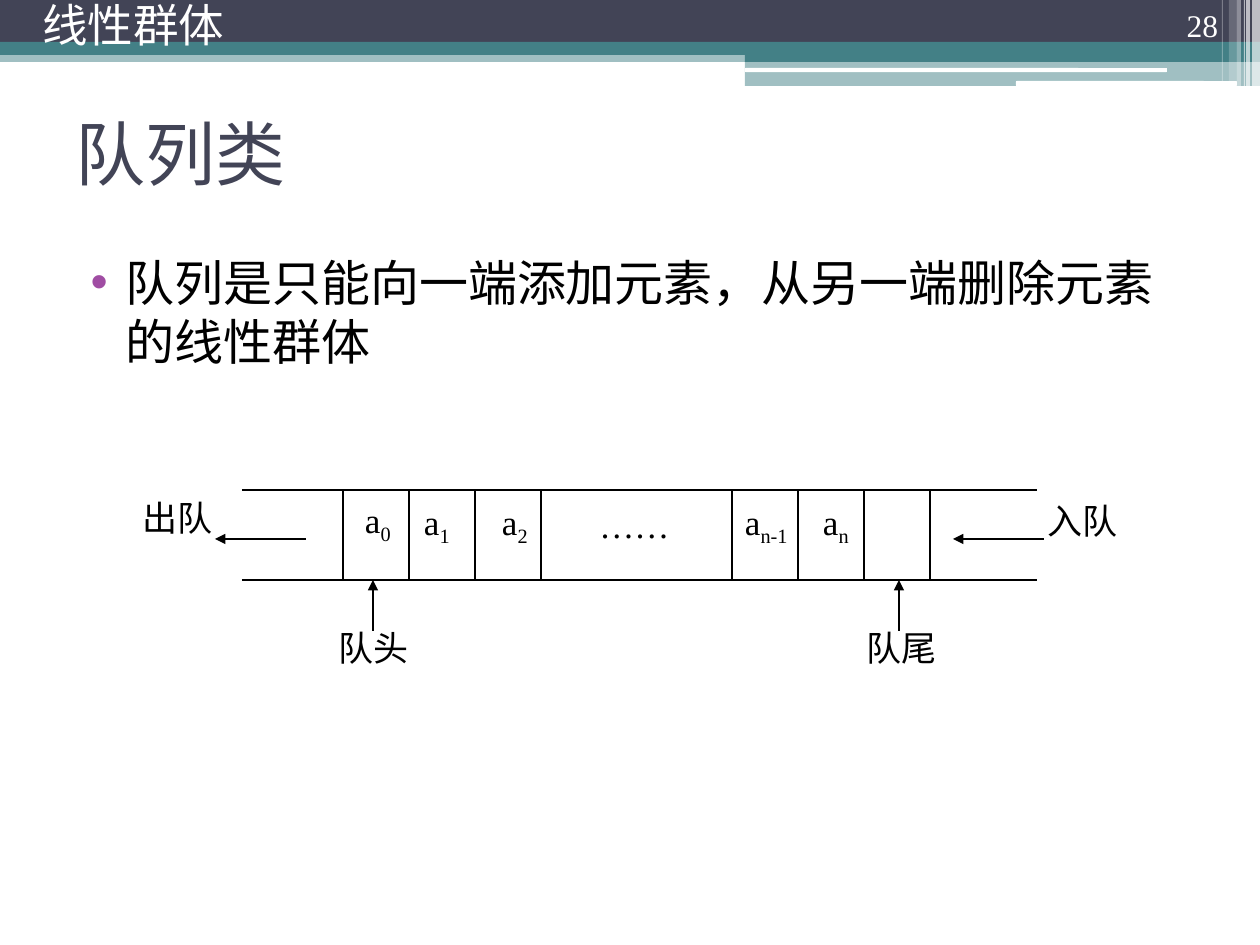
"""Build the queue class slide with its band header and queue diagram."""
from dataclasses import dataclass
from typing import NamedTuple

from lxml import etree
from pptx import Presentation
from pptx import util as u
from pptx.dml.color import RGBColor
from pptx.enum import shapes, text
from pptx.oxml.ns import qn

EMU_PER_PX = 914400 / 126


@dataclass(frozen=True)
class Theme:
    navy: str = "424456"
    teal: str = "438086"
    white: str = "FFFFFF"
    black: str = "000000"
    bullet: str = "A04DA3"
    heading_font: str = "Cabin"
    body_font: str = "Noto Sans CJK SC"
    label_font: str = "Times New Roman"
    title_size: int = 40
    body_size: int = 28
    section_size: int = 26
    number_size: int = 18
    label_size: int = 20
    line_width: float = 0.75


THEME = Theme()


class Box(NamedTuple):
    left: int
    top: int
    width: int
    height: int


class Bar(NamedTuple):
    box: Box
    color: str
    alpha: int = 100
    rounded: bool = False


class Style(NamedTuple):
    size: int
    font: str
    color: str


class Line(NamedTuple):
    start: tuple[int, int]
    end: tuple[int, int]
    arrow: bool = False


class Cell(NamedTuple):
    left: int
    top: int
    index: str


LABEL = Style(THEME.label_size, THEME.label_font, THEME.black)

BARS = [
    Bar(Box(0, 50, 1260, 12), THEME.teal, 50),
    Bar(Box(0, 0, 1260, 43), THEME.navy),
    Bar(Box(0, 42, 1260, 13), THEME.teal),
    Bar(Box(745, 49, 515, 13), THEME.teal),
    Bar(Box(745, 61, 515, 25), THEME.teal, 50),
    Bar(Box(745, 68, 422, 4), THEME.white, rounded=True),
    Bar(Box(1016, 81, 221, 5), THEME.white, rounded=True),
    Bar(Box(1252, 0, 8, 86), THEME.white, 65),
    Bar(Box(1246, 0, 4, 86), THEME.white, 65),
    Bar(Box(1244, 0, 1, 86), THEME.white, 60),
    Bar(Box(1237, 0, 4, 86), THEME.white, 40),
    Bar(Box(1229, 0, 8, 81), THEME.white, 20),
    Bar(Box(1222, 0, 1, 81), THEME.white, 30),
]

QUEUE_TOP, QUEUE_BOTTOM = 490, 580
CELL_WIDTH = 66
DIVIDERS = [first + CELL_WIDTH * i for first in (343, 732) for i in range(4)]
QUEUE_LINES = [
    *(Line((242, y), (1037, y)) for y in (QUEUE_TOP, QUEUE_BOTTOM)),
    *(Line((x, QUEUE_TOP), (x, QUEUE_BOTTOM)) for x in DIVIDERS),
    *(Line((x, 631), (x, QUEUE_BOTTOM), True) for x in (373, 899)),
    *(Line((x, 539), (x - 91, 539), True) for x in (306, 1044)),
]

CELLS = [
    Cell(365, 498, "0"),
    Cell(424, 500, "1"),
    Cell(502, 500, "2"),
    Cell(745, 500, "n-1"),
    Cell(823, 500, "n"),
]
CAPTIONS = {
    "……": (571, 503),
    "队头": (310, 626),
    "队尾": (838, 626),
    "入队": (1019, 499),
    "出队": (114, 496),
}


def px(length: int) -> u.Emu:
    """Turn whole pixels into EMU."""
    return u.Emu(round(length * EMU_PER_PX))


def place(box: Box) -> tuple[u.Emu, ...]:
    """Turn a box into four EMU lengths."""
    return tuple(px(length) for length in box)


def draw_bar(slide, bar: Bar) -> None:
    """Draw one borderless bar of the header band."""
    kind = shapes.MSO_SHAPE.ROUNDED_RECTANGLE if bar.rounded else shapes.MSO_SHAPE.RECTANGLE
    band = slide.shapes.add_shape(kind, *place(bar.box))
    band.shadow.inherit = False
    band.line.fill.background()
    band.fill.solid()
    band.fill.fore_color.rgb = RGBColor.from_string(bar.color)
    if bar.alpha < 100:
        color = band._element.spPr.find(f"{qn('a:solidFill')}/{qn('a:srgbClr')}")
        etree.SubElement(color, qn("a:alpha"), val=str(bar.alpha * 1000))


def draw_line(slide, line: Line) -> None:
    """Draw one thin line, with an arrowhead at its end if asked."""
    edge = slide.shapes.add_connector(
        shapes.MSO_CONNECTOR.STRAIGHT, *map(px, line.start + line.end))
    edge.line.width = u.Pt(THEME.line_width)
    edge.line.color.rgb = RGBColor.from_string(THEME.black)
    props = edge._element.spPr
    if line.arrow:
        etree.SubElement(props.find(qn("a:ln")), qn("a:tailEnd"), type="triangle")
    etree.SubElement(props, qn("a:effectLst"))


def add_run(paragraph, words: str, style: Style, subscript: bool = False) -> None:
    """Add one formatted run to a paragraph."""
    run = paragraph.add_run()
    run.text = words
    run.font.size = u.Pt(style.size)
    run.font.name = style.font
    run.font.color.rgb = RGBColor.from_string(style.color)
    if subscript:
        run._r.get_or_add_rPr().set("baseline", "-25000")


def add_label(slide, box: Box, words: str, style: Style, align=text.PP_ALIGN.LEFT,
              anchor=text.MSO_ANCHOR.TOP, subscript: str = ""):
    """Add a text box without insets and return its paragraph."""
    frame = slide.shapes.add_textbox(*place(box)).text_frame
    frame.word_wrap = True
    frame.vertical_anchor = anchor
    frame.margin_left = frame.margin_right = frame.margin_top = frame.margin_bottom = 0
    paragraph = frame.paragraphs[0]
    paragraph.alignment = align
    add_run(paragraph, words, style)
    if subscript:
        add_run(paragraph, subscript, style, subscript=True)
    return paragraph


def fill_placeholder(holder, box: Box, words: str, style: Style, anchor):
    """Move a placeholder, write its text and return its paragraph."""
    holder.left, holder.top, holder.width, holder.height = place(box)
    frame = holder.text_frame
    frame.auto_size = text.MSO_AUTO_SIZE.NONE
    frame.vertical_anchor = anchor
    paragraph = frame.paragraphs[0]
    paragraph.alignment = text.PP_ALIGN.LEFT
    paragraph.space_before = u.Pt(0)
    add_run(paragraph, words, style)
    return paragraph


def add_bullet(paragraph) -> None:
    """Give a paragraph a coloured bullet and a hanging indent."""
    props = paragraph._p.get_or_add_pPr()
    props.set("marL", str(px(50)))
    props.set("indent", str(px(-35)))
    color = etree.SubElement(props, qn("a:buClr"))
    etree.SubElement(color, qn("a:srgbClr"), val=THEME.bullet)
    etree.SubElement(props, qn("a:buChar"), char="•")


def main() -> None:
    """Build and save the slide."""
    deck = Presentation()
    deck.slide_width, deck.slide_height = px(1260), px(945)
    slide = deck.slides.add_slide(deck.slide_layouts[1])
    for bar in BARS:
        draw_bar(slide, bar)
    fill_placeholder(slide.shapes.title, Box(63, 79, 1134, 147), "队列类",
                     Style(THEME.title_size, THEME.heading_font, THEME.navy),
                     text.MSO_ANCHOR.MIDDLE)
    definition = fill_placeholder(
        slide.placeholders[1], Box(63, 246, 1134, 660),
        "队列是只能向一端添加元素，从另一端删除元素的线性群体",
        Style(THEME.body_size, THEME.body_font, THEME.black), text.MSO_ANCHOR.TOP)
    definition.space_after = u.Pt(12)
    add_bullet(definition)
    add_label(slide, Box(1139, 6, 79, 38), "28",
              Style(THEME.number_size, THEME.label_font, THEME.white),
              text.PP_ALIGN.RIGHT, text.MSO_ANCHOR.BOTTOM)
    section = add_label(slide, Box(42, 0, 1080, 59), "线性群体",
                        Style(THEME.section_size, THEME.heading_font, THEME.white),
                        anchor=text.MSO_ANCHOR.MIDDLE)
    section.line_spacing = 0.8
    for line in QUEUE_LINES:
        draw_line(slide, line)
    for cell in CELLS:
        add_label(slide, Box(cell.left, cell.top, 50, 68), "a", LABEL, subscript=cell.index)
    for words, (left, top) in CAPTIONS.items():
        add_label(slide, Box(left, top, 127, 68), words, LABEL, text.PP_ALIGN.CENTER)
    deck.save("out.pptx")


if __name__ == "__main__":
    main()
